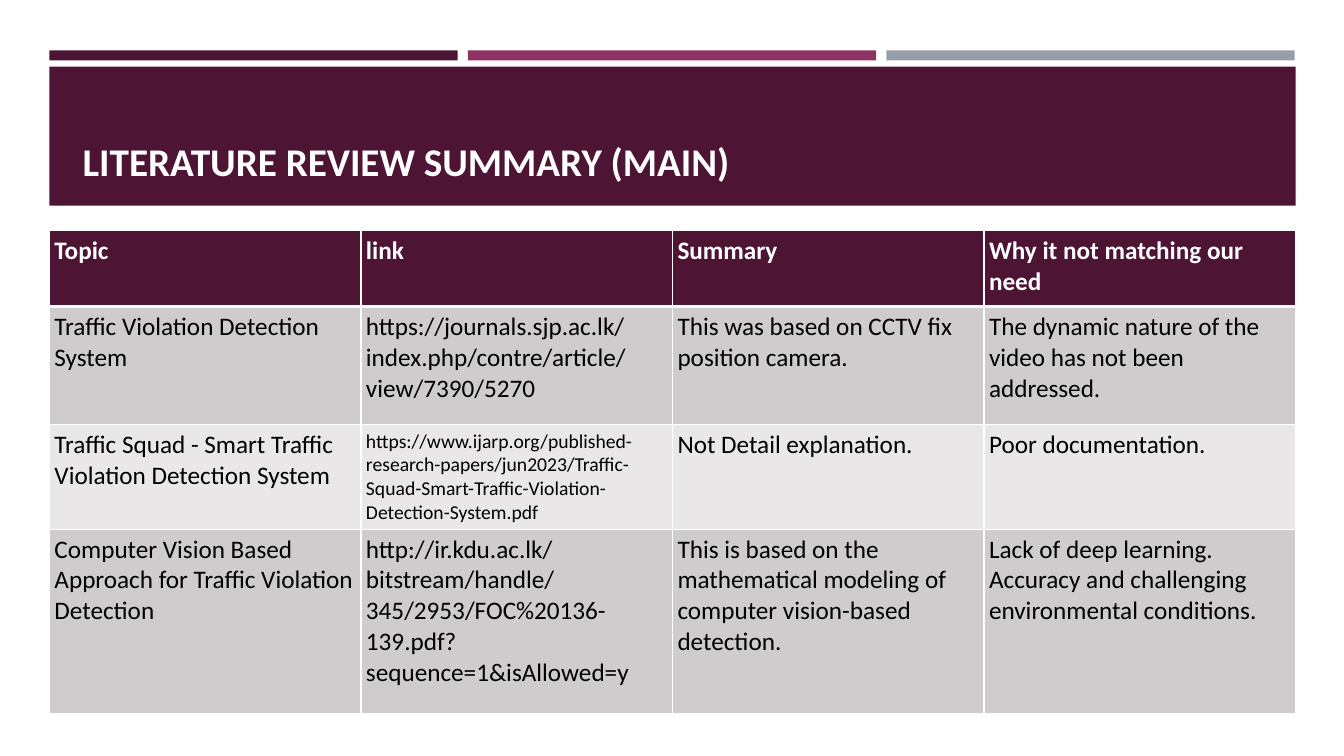
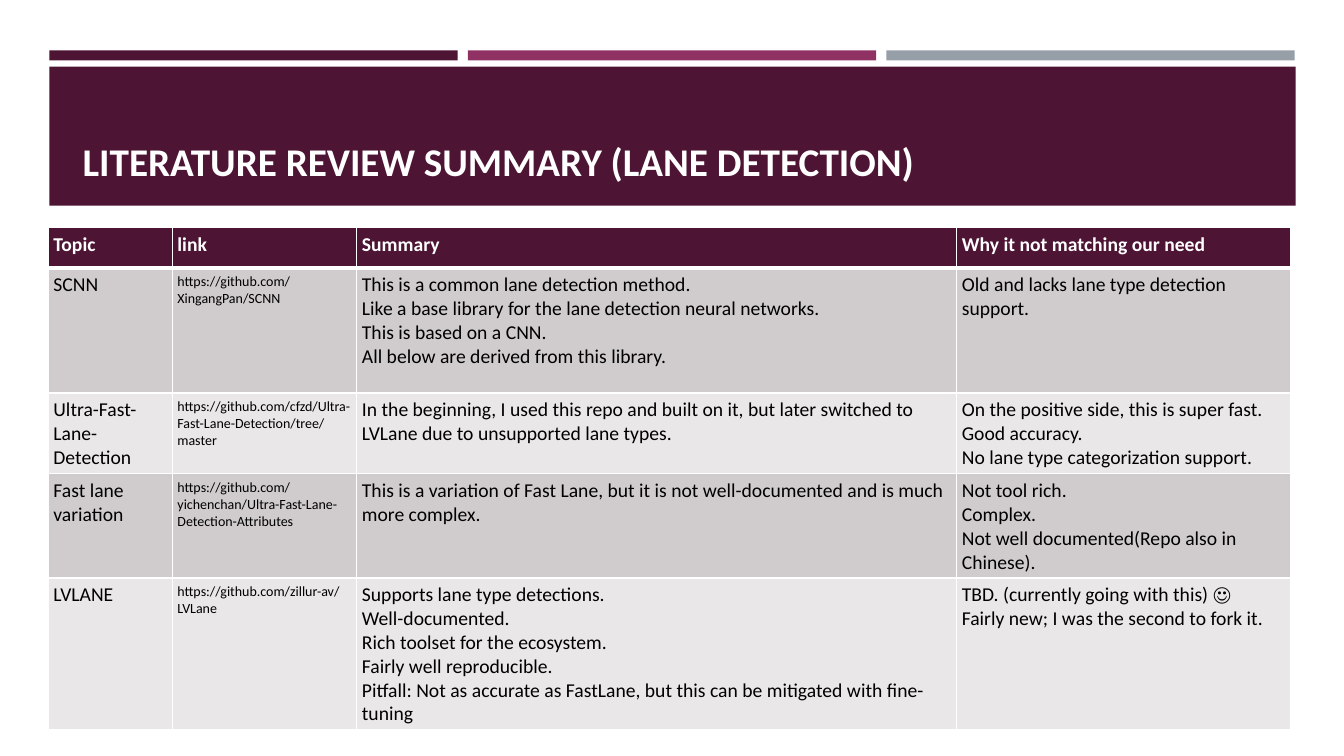
import pptx
import pptx.util
import pptx.dml.color
import pptx.enum.shapes
import pptx.enum.text
import pptx.oxml
import pptx.oxml.ns

Inches = pptx.util.Inches
Pt = pptx.util.Pt
RGBColor = pptx.dml.color.RGBColor

PLUM = RGBColor(0x4D, 0x14, 0x34)
MAGENTA = RGBColor(0x90, 0x31, 0x63)
SLATE = RGBColor(0x96, 0x9F, 0xA7)
DARK_ROW = RGBColor(0xD0, 0xCC, 0xCE)
LIGHT_ROW = RGBColor(0xE9, 0xE7, 0xE8)
WHITE = RGBColor(0xFF, 0xFF, 0xFF)
BLACK = RGBColor(0, 0, 0)
FONT = "Calibri"

HEADER = ("Topic", "link", "Summary", "Why it not matching our need")
LINK_COLUMN = HEADER.index("link")

REVIEWS = [
    {
        "title": "LITERATURE REVIEW SUMMARY (MAIN)",
        "origin": (0.49, 2.29),
        "widths": (3.09, 3.09, 3.09, 3.09),
        "heights": (0.75, 1.17, 1.04, 1.83),
        "size": 18,
        "link_sizes": (18, 14, 18),
        "rows": [
            ("Traffic Violation Detection System",
             "https://journals.sjp.ac.lk/index.php/contre/article/view/7390/5270",
             "This was based on CCTV fix position camera.",
             "The dynamic nature of the video has not been addressed."),
            ("Traffic Squad - Smart Traffic Violation Detection System",
             "https://www.ijarp.org/published-research-papers/jun2023/"
             "Traffic-Squad-Smart-Traffic-Violation-Detection-System.pdf",
             "Not Detail explanation.",
             "Poor documentation."),
            ("Computer Vision Based Approach for Traffic Violation Detection",
             "http://ir.kdu.ac.lk/bitstream/handle/345/2953/"
             "FOC%20136-139.pdf?sequence=1&isAllowed=y",
             "This is based on the mathematical modeling of computer vision-based detection.",
             "Lack of deep learning. Accuracy and challenging environmental conditions."),
        ],
    },
    {
        "title": "LITERATURE REVIEW SUMMARY (LANE DETECTION)",
        "origin": (0.48, 2.26),
        "widths": (1.23, 1.83, 5.95, 3.31),
        "heights": (0.4, 1.24, 0.78, 1.01, 1.47),
        "size": 14,
        "link_sizes": (10, 10, 10, 10),
        "rows": [
            ("SCNN",
             "https://github.com/XingangPan/SCNN",
             "This is a common lane detection method.\n"
             "Like a base library for the lane detection neural networks.\n"
             "This is based on a CNN.\n"
             "All below are derived from this library.",
             "Old and lacks lane type detection support."),
            ("Ultra-Fast-Lane-Detection",
             "https://github.com/cfzd/Ultra-Fast-Lane-Detection/tree/master",
             "In the beginning, I used this repo and built on it, but later "
             "switched to LVLane due to unsupported lane types.",
             "On the positive side, this is super fast.\n"
             "Good accuracy.\n"
             "No lane type categorization support."),
            ("Fast lane variation",
             "https://github.com/yichenchan/Ultra-Fast-Lane-Detection-Attributes",
             "This is a variation of Fast Lane, but it is not well-documented "
             "and is much more complex.",
             "Not tool rich.\n"
             "Complex.\n"
             "Not well documented(Repo also in Chinese)."),
            ("LVLANE",
             "https://github.com/zillur-av/LVLane",
             "Supports lane type detections.\n"
             "Well-documented.\n"
             "Rich toolset for the ecosystem.\n"
             "Fairly well reproducible.\n"
             "Pitfall: Not as accurate as FastLane, but this can be mitigated "
             "with fine-tuning",
             "TBD. (currently going with this) ☺\n"
             "Fairly new; I was the second to fork it."),
        ],
    },
]

BAND_LEFT, BAND_WIDTH = 0.49, 12.36
STRIPE_WIDTH, STRIPE_GAP = 4.05, 0.1


def set_values(target, values):
    for name, value in values.items():
        setattr(target, name, value)


def write_text(frame, text, size, color, bold):
    frame.text = text
    for para in frame.paragraphs:
        for span in para.runs:
            set_values(span.font, {"name": FONT, "size": Pt(size), "bold": bold})
            span.font.color.rgb = color


def add_block(page, left, top, width, height, color):
    block = page.shapes.add_shape(
        pptx.enum.shapes.MSO_SHAPE.RECTANGLE,
        Inches(left), Inches(top), Inches(width), Inches(height))
    block.shadow.inherit = False
    block.fill.solid()
    block.fill.fore_color.rgb = color
    block.line.fill.background()


def add_heading(page, title):
    for index, color in enumerate((PLUM, MAGENTA, SLATE)):
        left = BAND_LEFT + index * (STRIPE_WIDTH + STRIPE_GAP)
        add_block(page, left, 0.5, STRIPE_WIDTH, 0.1, color)
    add_block(page, BAND_LEFT, 0.66, BAND_WIDTH, 1.38, PLUM)
    box = page.shapes.add_textbox(Inches(0.64), Inches(0.8), Inches(12.06), Inches(1.08))
    set_values(box.text_frame, {
        "word_wrap": True,
        "margin_left": Inches(0.18),
        "vertical_anchor": pptx.enum.text.MSO_ANCHOR.BOTTOM,
    })
    write_text(box.text_frame, title, 28, WHITE, True)


def set_borders(cell, top, bottom):
    properties = cell._tc.get_or_add_tcPr()
    sides = {"lnL": 1, "lnR": 1, "lnT": top, "lnB": bottom}
    for index, (side, width) in enumerate(sides.items()):
        border = pptx.oxml.parse_xml(
            f'<a:{side} {pptx.oxml.ns.nsdecls("a")} w="{Pt(width)}">'
            f'<a:solidFill><a:srgbClr val="{WHITE}"/></a:solidFill></a:{side}>')
        properties.insert(index, border)


def fill_cell(cell, row, text, size):
    is_header = row == 0
    margins = ("margin_left", "margin_top", "margin_right", "margin_bottom")
    set_values(cell, dict.fromkeys(margins, Inches(0.05)))
    cell.fill.solid()
    cell.fill.fore_color.rgb = PLUM if is_header else (LIGHT_ROW, DARK_ROW)[row % 2]
    set_borders(cell, 3 if row == 1 else 1, 3 if is_header else 1)
    write_text(cell.text_frame, text, size, WHITE if is_header else BLACK, is_header)


def add_review_table(page, review):
    widths, heights = review["widths"], review["heights"]
    left, top = review["origin"]
    table = page.shapes.add_table(
        len(heights), len(widths), Inches(left), Inches(top),
        Inches(sum(widths)), Inches(sum(heights))).table
    table.horz_banding = False
    for column, width in zip(table.columns, widths):
        column.width = Inches(width)
    for line, height in zip(table.rows, heights):
        line.height = Inches(height)
    link_sizes = (review["size"], *review["link_sizes"])
    for row, texts in enumerate([HEADER, *review["rows"]]):
        for column, text in enumerate(texts):
            size = link_sizes[row] if column == LINK_COLUMN else review["size"]
            fill_cell(table.cell(row, column), row, text, size)


def main():
    deck = pptx.Presentation()
    set_values(deck, {"slide_width": Inches(13.33), "slide_height": Inches(7.5)})
    for review in REVIEWS:
        page = deck.slides.add_slide(deck.slide_layouts[6])
        add_heading(page, review["title"])
        add_review_table(page, review)
    deck.save("out.pptx")


if __name__ == "__main__":
    main()
